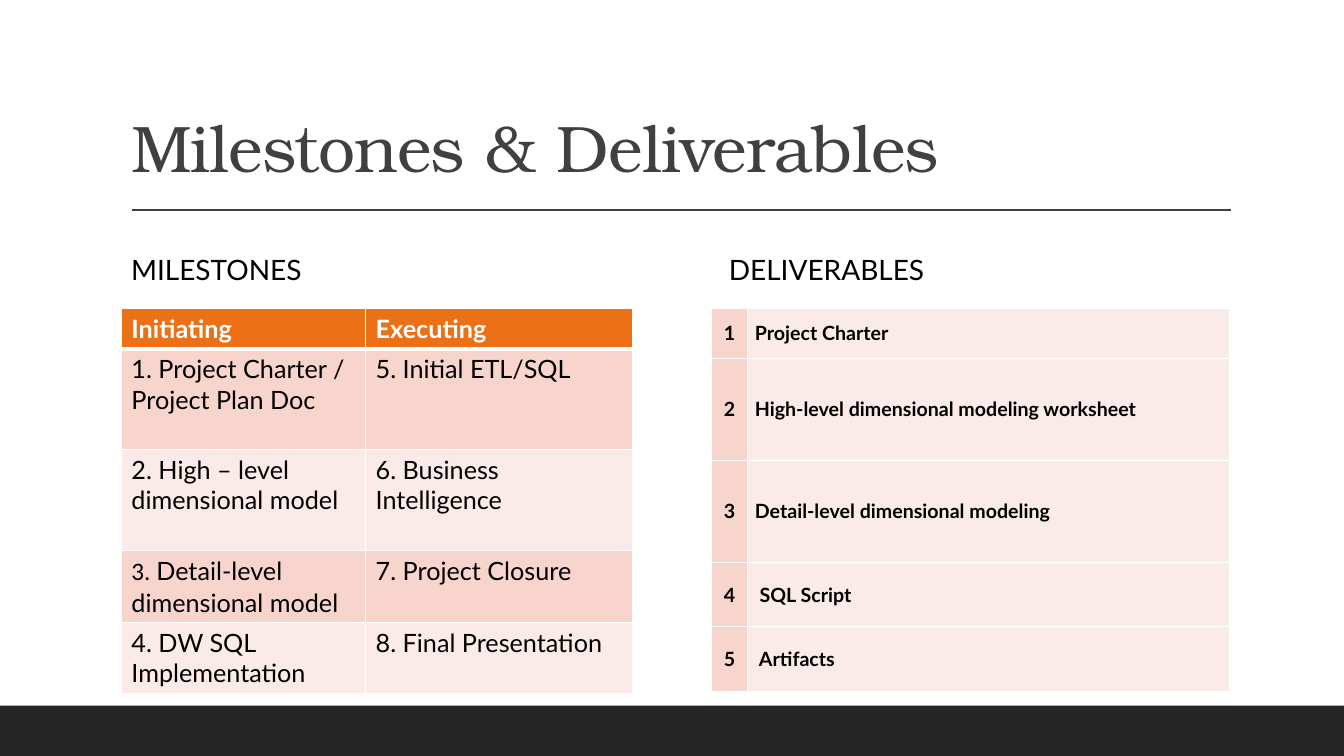
import pptx
import pptx.dml.color
import pptx.enum.shapes
import pptx.enum.text
import pptx.oxml
import pptx.oxml.ns
import pptx.util

Pt = pptx.util.Pt
Anchor = pptx.enum.text.MSO_ANCHOR

COLORS = {
    "bar": "262626",
    "title": "404040",
    "text": "000000",
    "white": "FFFFFF",
    "header": "EC7016",
    "dark_band": "F8D5CC",
    "light_band": "FBEBE8",
}

MILESTONES = [
    ("Initiating", "Executing"),
    ("1. Project Charter / Project Plan Doc", "5. Initial ETL/SQL"),
    ("2. High – level dimensional model", "6. Business Intelligence"),
    ("3. Detail-level dimensional model", "7. Project Closure"),
    ("4. DW SQL Implementation", "8. Final Presentation"),
]
DELIVERABLES = [
    (" 1", "Project Charter"),
    (" 2", "High-level dimensional modeling worksheet"),
    (" 3", "Detail-level dimensional modeling"),
    (" 4", " SQL Script"),
    (" 5", " Artifacts"),
]


def rgb(name):
    return pptx.dml.color.RGBColor.from_string(COLORS[name])


def apply(target, values):
    for attribute, value in values.items():
        setattr(target, attribute, value)


def style_run(run, color, **font):
    apply(run.font, font)
    run.font.color.rgb = rgb(color)


def fill_placeholder(holder, text, box, frame, paragraph, color, **font):
    apply(holder, dict(zip(("left", "top", "width", "height"), map(Pt, box))))
    holder.text_frame.text = text
    apply(holder.text_frame, {
        "word_wrap": True,
        "auto_size": pptx.enum.text.MSO_AUTO_SIZE.NONE,
        **frame,
    })
    line = holder.text_frame.paragraphs[0]
    apply(line, {"alignment": pptx.enum.text.PP_ALIGN.LEFT, **paragraph})
    style_run(line.runs[0], color, **font)
    return line.runs[0]


def add_footer_bar(slide):
    bar = slide.shapes.add_shape(
        pptx.enum.shapes.MSO_SHAPE.RECTANGLE, 0, Pt(504), Pt(960), Pt(36))
    bar.shadow.inherit = False
    bar.fill.solid()
    bar.fill.fore_color.rgb = rgb("bar")
    bar.line.fill.background()


def add_title_rule(slide):
    rule = slide.shapes.add_connector(
        pptx.enum.shapes.MSO_CONNECTOR.STRAIGHT,
        Pt(94.3), Pt(150), Pt(879), Pt(150))
    rule.line.width = Pt(1)
    rule.line.color.rgb = rgb("title")
    rule._element.spPr.append(pptx.oxml.parse_xml(
        f"<a:effectLst {pptx.oxml.ns.nsdecls('a')}/>"))


def set_borders(cell, top=1, bottom=1):
    properties = cell._tc.get_or_add_tcPr()
    for side, width in {"L": 1, "R": 1, "T": top, "B": bottom}.items():
        properties.append(pptx.oxml.parse_xml(
            f'<a:ln{side} {pptx.oxml.ns.nsdecls("a")} w="{Pt(width)}">'
            f'<a:solidFill><a:srgbClr val="{COLORS["white"]}"/></a:solidFill>'
            f'</a:ln{side}>'))


def add_grid(slide, rows, left, top, widths, heights, has_header):
    grid = slide.shapes.add_table(
        len(rows), len(widths), Pt(left), Pt(top),
        Pt(sum(widths)), Pt(sum(heights))).table
    apply(grid, {"first_row": has_header, "horz_banding": False})
    for column, width in zip(grid.columns, widths):
        column.width = Pt(width)
    for row, height in zip(grid.rows, heights):
        row.height = Pt(height)
    for r, texts in enumerate(rows):
        for c, text in enumerate(texts):
            yield r, c, grid.cell(r, c), text


def finish_cell(cell, text, fill, color, **font):
    cell.fill.solid()
    cell.fill.fore_color.rgb = rgb(fill)
    cell.text = text
    style_run(cell.text_frame.paragraphs[0].runs[0], color, name="Lato", **font)


def add_milestones(slide):
    cells = add_grid(slide, MILESTONES, 86.7, 220.3, (174.5, 190.5),
                     (29, 72, 72, 51.5, 50), True)
    for r, c, cell, text in cells:
        is_header = r == 0
        set_borders(cell, top=3 if r == 1 else 1, bottom=3 if is_header else 1)
        band = "dark_band" if r % 2 else "light_band"
        finish_cell(cell, text, "header" if is_header else band,
                    "white" if is_header else "text",
                    size=Pt(18), bold=is_header)
        # The third milestone has its number in another font
        if text.startswith("3. "):
            line = cell.text_frame.paragraphs[0]
            number = line.runs[0]
            number.text, number.font.name = "3. ", "Calibri"
            label = line.add_run()
            label.text = text.removeprefix("3. ")
            style_run(label, "text", name="Lato", size=Pt(18), bold=False)


def add_deliverables(slide):
    margins = {"margin_left": Pt(5.4), "margin_right": Pt(5.4),
               "margin_top": Pt(3.6), "margin_bottom": Pt(3.6)}
    cells = add_grid(slide, DELIVERABLES, 508.3, 220.3, (25.5, 344.5),
                     (35.7, 72.8, 72.8, 46.2, 46.2), False)
    for _, c, cell, text in cells:
        apply(cell, {"vertical_anchor": Anchor.MIDDLE, **margins})
        set_borders(cell)
        finish_cell(cell, text, "light_band" if c else "dark_band", "text",
                    size=Pt(14), bold=True)


def main():
    deck = pptx.Presentation()
    apply(deck, {"slide_width": Pt(960), "slide_height": Pt(540)})
    slide = deck.slides.add_slide(deck.slide_layouts.get_by_name("Comparison"))
    holders = {p.placeholder_format.idx: p for p in slide.placeholders}

    # The tables take the place of the content placeholders
    for index in (2, 4):
        content = holders[index]._element
        content.getparent().remove(content)

    # Frame of the slide
    add_footer_bar(slide)
    add_title_rule(slide)

    # Title and headings
    title = fill_placeholder(
        holders[0], "Milestones & Deliverables", (86.4, 22.6, 792, 114.2),
        {"vertical_anchor": Anchor.BOTTOM}, {"line_spacing": 0.9},
        "title", name="TeX Gyre Bonum", size=Pt(47), bold=False)
    title._r.get_or_add_rPr().set("spc", "-50")
    for index, heading, left in ((1, "MILESTONES", 86.4),
                                 (3, "DELIVERABLES", 513.4)):
        fill_placeholder(
            holders[index], heading, (left, 162, 365, 58),
            {"vertical_anchor": Anchor.MIDDLE},
            {"line_spacing": 1.1, "space_before": Pt(12), "space_after": Pt(2)},
            "text", name="Lato", size=Pt(20), bold=False)

    # Tables
    add_deliverables(slide)
    add_milestones(slide)
    deck.save("out.pptx")


if __name__ == "__main__":
    main()
